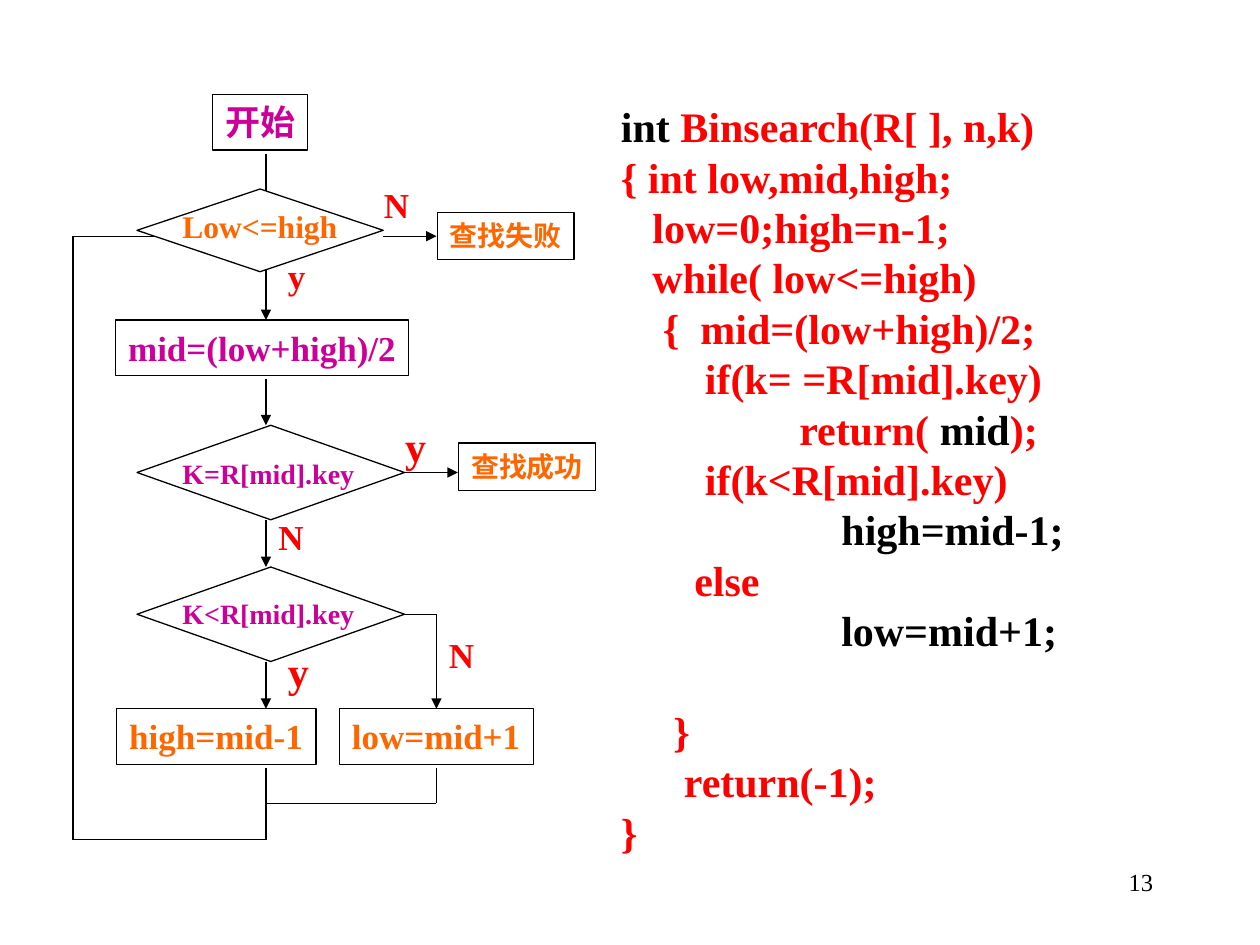
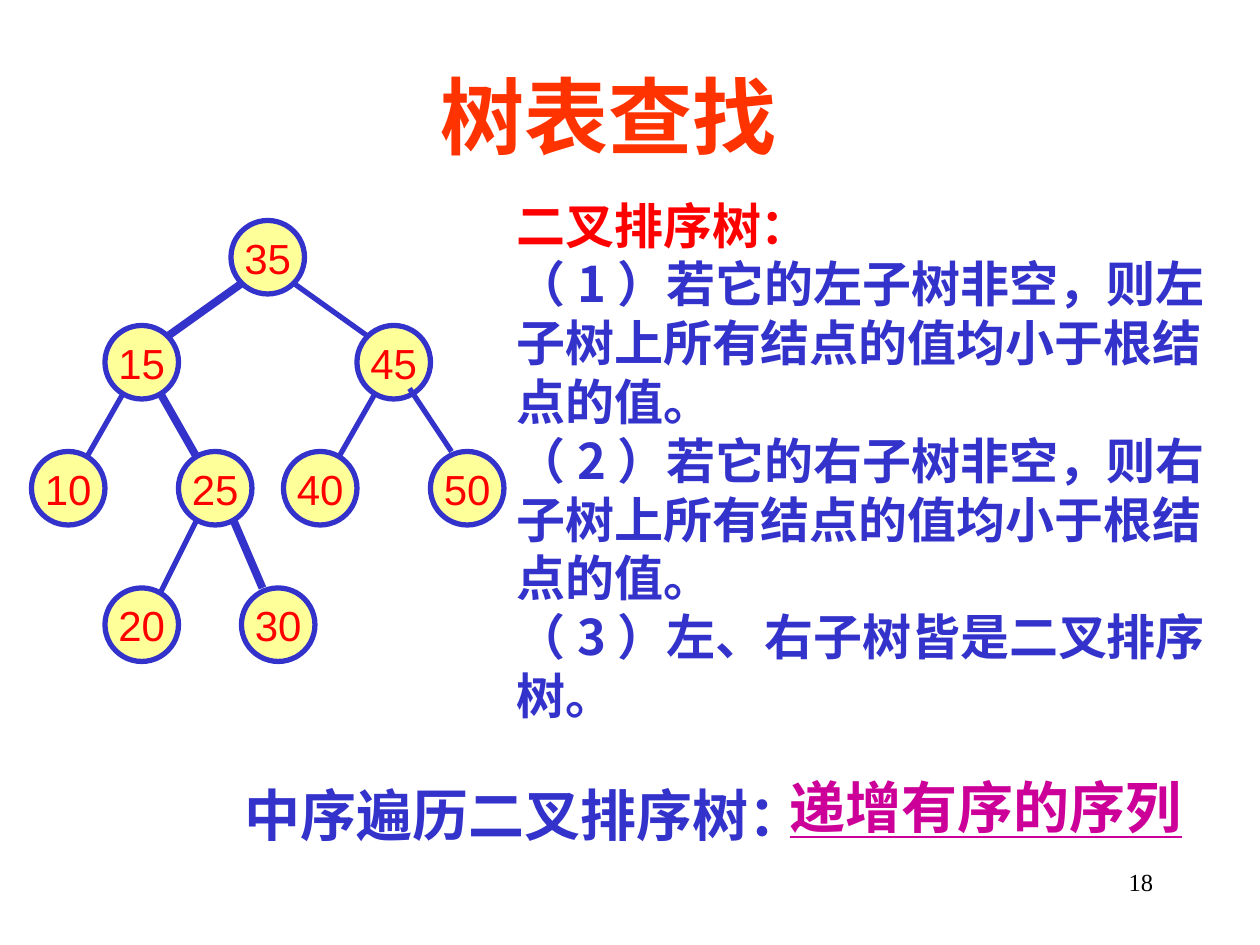
from dataclasses import dataclass

from lxml.etree import SubElement
from pptx import Presentation
from pptx.dml.color import RGBColor
from pptx.enum.shapes import MSO_CONNECTOR, MSO_SHAPE
from pptx.enum.text import MSO_ANCHOR, PP_ALIGN
from pptx.oxml.ns import qn
from pptx.util import Inches, Pt

BLACK = RGBColor(0x00, 0x00, 0x00)
WHITE = RGBColor(0xFF, 0xFF, 0xFF)
RED = RGBColor(0xFF, 0x00, 0x00)
ORANGE = RGBColor(0xFF, 0x66, 0x00)
TITLE_ORANGE = RGBColor(0xFF, 0x33, 0x00)
MAGENTA = RGBColor(0xCC, 0x00, 0x99)
BLUE = RGBColor(0x33, 0x33, 0xCC)
YELLOW = RGBColor(0xFF, 0xFF, 0x99)

SERIF = "Times New Roman"
SANS = "Arial"
CHINESE = "Noto Sans CJK SC"

SLIDE_WIDTH = Inches(10)
SLIDE_HEIGHT = Inches(7.5)
LINE_HEIGHT = 1.2


@dataclass
class Grid:
    left: float
    top: float
    width: float
    height: float
    columns: float = 1
    rows: float = 1

    def point(self, column, row):
        return (
            round((self.left + self.width * column / self.columns) * SLIDE_WIDTH),
            round((self.top + self.height * row / self.rows) * SLIDE_HEIGHT),
        )

    def area(self, column=0, row=0, width=None, height=None):
        left, top = self.point(column, row)
        right, bottom = self.point(
            column + (width or self.columns), row + (height or self.rows)
        )
        return left, top, right - left, bottom - top


def write(shape, paragraphs, size, color=BLACK, font=SERIF, bold=True,
          underline=None, align=PP_ALIGN.LEFT, anchor=MSO_ANCHOR.TOP,
          wrap=False, exact=True):
    frame = shape.text_frame
    frame.word_wrap = wrap
    frame.vertical_anchor = anchor
    if isinstance(paragraphs, str):
        paragraphs = [paragraphs]
    for index, content in enumerate(paragraphs):
        paragraph = frame.add_paragraph() if index else frame.paragraphs[0]
        paragraph.alignment = align
        if exact:
            paragraph.line_spacing = Pt(size * LINE_HEIGHT)
        runs = [(content, color, font)] if isinstance(content, str) else content
        for text, run_color, run_font in runs:
            run = paragraph.add_run()
            run.text = text
            run.font.size = Pt(size)
            run.font.bold = bold
            run.font.underline = underline
            run.font.name = run_font
            run.font.color.rgb = run_color
            east_asian = SubElement(run.font._element, qn("a:ea"))
            east_asian.set("typeface", CHINESE)
    return frame


def add_text(slide, area, paragraphs, size, **style):
    return write(slide.shapes.add_textbox(*area), paragraphs, size, **style)


def add_outline(slide, kind, area, fill=WHITE, line=BLACK, width=0.75):
    shape = slide.shapes.add_shape(kind, *area)
    shape.shadow.inherit = False
    shape.fill.solid()
    shape.fill.fore_color.rgb = fill
    shape.line.color.rgb = line
    shape.line.width = Pt(width)
    return shape


def add_line(slide, start, end, color=BLACK, width=0.75, arrow=False):
    connector = slide.shapes.add_connector(MSO_CONNECTOR.STRAIGHT, *start, *end)
    connector.line.color.rgb = color
    connector.line.width = Pt(width)
    if arrow:
        SubElement(connector.line._get_or_add_ln(), qn("a:tailEnd"), type="triangle")
    SubElement(connector._element.spPr, qn("a:effectLst"))
    return connector


def add_page_number(slide, number):
    add_text(slide, Grid(0.717, 0.911, 0.208, 0.067).area(), str(number), 14,
             bold=False, align=PP_ALIGN.RIGHT, wrap=True)


def add_flowchart(slide, grid):
    def line(start, end, arrow=False):
        return add_line(slide, grid.point(*start), grid.point(*end), arrow=arrow)

    def decision(row, width, height):
        return add_outline(slide, MSO_SHAPE.FLOWCHART_DECISION,
                           grid.area(3, row, width, height))

    stem, branch, loop = 9.05, 17.05, 0
    boxes = {}
    for text, column, row, width, height, size, color in [
        ("查找失败", 17.1, 5, 6.4, 2, 16, ORANGE),
        ("开始", 6.55, 0, 4.45, 2.35, 20, MAGENTA),
        ("mid=(low+high)/2", 2, 9.55, 13.75, 2.35, 20, MAGENTA),
        ("查找成功", 18.1, 14.75, 6.4, 2, 16, ORANGE),
        ("high=mid-1", 2.05, 26, 9.35, 2.35, 20, ORANGE),
        ("low=mid+1", 12.5, 26, 9.1, 2.35, 20, ORANGE),
    ]:
        boxes[text] = add_outline(slide, MSO_SHAPE.RECTANGLE,
                                  grid.area(column, row, width, height))
        write(boxes[text], text, size, color=color)

    found_test = decision(14, 12.55, 4)
    less_test = decision(20, 12.55, 4)

    for first, last in [(2.5, 9.55), (12.05, 14), (18, 20), (24, 26)]:
        line((stem, first), (stem, last), arrow=True)
    for start, end in [
        ((stem, 28.5), (stem, 31.55)),
        ((branch, 28.5), (branch, 30)),
        ((stem, 30), (branch, 30)),
        ((loop, 31.55), (stem, 31.55)),
        ((loop, 6), (loop, 31.55)),
    ]:
        line(start, end)
    line((loop, 6), (stem, 6), arrow=True)
    line((14.55, 6), (branch, 6), arrow=True)
    line((15.55, 16), (18.05, 16), arrow=True).begin_connect(found_test, 3)
    line((15.55, 22), (branch, 22)).begin_connect(less_test, 3)
    line((branch, 22), (branch, 26), arrow=True).end_connect(boxes["low=mid+1"], 0)
    decision(4, 11.55, 3.5)

    for text, row, width, size, color in [
        ("Low<=high", 4.5, 8.45, 18, ORANGE),
        ("K=R[mid].key", 15.05, 9.25, 16, MAGENTA),
        ("K<R[mid].key", 21, 9.25, 16, MAGENTA),
    ]:
        add_text(slide, grid.area(4.55, row, width, 2), text, size, color=color)

    for text, column, row, size in [
        ("N", 14, 3.5, 20), ("y", 9.5, 6.5, 20), ("y", 15, 13.55, 24),
        ("N", stem, 17.55, 20), ("N", branch, 22.55, 20), ("y", 9.5, 23.05, 24),
    ]:
        add_text(slide, grid.area(column, row, 2.5, 2.5), text, size,
                 color=RED, wrap=True)


def add_code(slide, grid):
    def red(text):
        return text, RED, SERIF

    def black(text):
        return text, BLACK, SERIF

    lines = [
        [black("int"), red(" Binsearch(R[ ], n,k)")],
        "{ int low,mid,high;",
        "   low=0;high=n-1;",
        "   while( low<=high)",
        "    {  mid=(low+high)/2;",
        "        if(k= =R[mid].key)",
        [red("                 return( "), black("mid"), red(");")],
        "        if(k<R[mid].key)",
        [red("                     "), black("high=mid-1;")],
        "       else",
        [black("                     low=mid+1;")],
        "     }",
        "      return(-1);",
        "}",
    ]
    frame = add_text(slide, grid.area(), lines, 24, color=RED, wrap=True)
    frame.paragraphs[lines.index("     }")].space_before = Pt(24 * LINE_HEIGHT)


def add_tree(slide, grid):
    def edge(column, row, end_column, end_row, width=3):
        add_line(slide, grid.point(column, row), grid.point(end_column, end_row),
                 color=BLUE, width=width)

    for ends in [(33, 16, 29, 23), (19, 28, 22, 35, 4.5), (16, 28, 12, 36),
                 (9, 16, 5, 23), (12, 16, 16, 23, 4.5)]:
        edge(*ends)

    levels = {
        0: {35: 19},
        10: {15: 7, 45: 31},
        22: {10: 0, 25: 14, 40: 24, 50: 38},
        35: {20: 7, 30: 20},
    }
    for row, nodes in levels.items():
        for key, column in nodes.items():
            node = add_outline(slide, MSO_SHAPE.OVAL, grid.area(column, row, 7, 7),
                               fill=YELLOW, line=BLUE, width=3)
            write(node, str(key), 24, color=RED, font=SANS, bold=False,
                  align=PP_ALIGN.CENTER, anchor=MSO_ANCHOR.MIDDLE)

    for ends in [(20, 6, 13, 11, 4.5), (25, 6, 32, 11), (36, 16, 40, 22)]:
        edge(*ends)


def add_definition(slide, grid):
    add_text(slide, grid.area(), [
        [("二叉排序树：", RED, SERIF)],
        "（1）若它的左子树非空，则左子树上所有结点的值均小于根结点的值。",
        "（2）若它的右子树非空，则右子树上所有结点的值均小于根结点的值。",
        "（3）左、右子树皆是二叉排序树。",
    ], 28, color=BLUE, font=CHINESE, wrap=True)


def add_conclusion(slide, grid):
    add_text(slide, grid.area(0, 0.06, 4.65, 0.64),
             [[("中序遍历", BLUE, SERIF), ("二叉排序树：", BLUE, CHINESE)]], 32)
    add_text(slide, grid.area(4.33, 0, 3.5, 0.64), "递增有序的序列", 32,
             color=MAGENTA, underline=True)


def build_search_slide(slide):
    add_flowchart(slide, Grid(0.058, 0.1, 0.406, 0.8, columns=24, rows=32))
    add_code(slide, Grid(0.483, 0.1, 0.402, 0.867))
    add_page_number(slide, 13)


def build_tree_slide(slide):
    add_text(slide, Grid(0.233, 0.067, 0.5, 0.11).area(), "树表查找", 48,
             color=TITLE_ORANGE, font=CHINESE, align=PP_ALIGN.CENTER,
             anchor=MSO_ANCHOR.MIDDLE, wrap=True, exact=False)
    add_tree(slide, Grid(3 / 120, 21 / 90, 45 / 120, 42 / 90, columns=45, rows=42))
    add_definition(slide, Grid(0.4, 0.2, 0.6, 0.575))
    add_conclusion(slide, Grid(0.184, 0.811, 0.784, 0.093, columns=7.84, rows=0.7))
    add_page_number(slide, 18)


def main():
    presentation = Presentation()
    presentation.slide_width = SLIDE_WIDTH
    presentation.slide_height = SLIDE_HEIGHT
    blank = presentation.slide_layouts[6]
    for build in (build_search_slide, build_tree_slide):
        build(presentation.slides.add_slide(blank))
    presentation.save("out.pptx")


if __name__ == "__main__":
    main()
